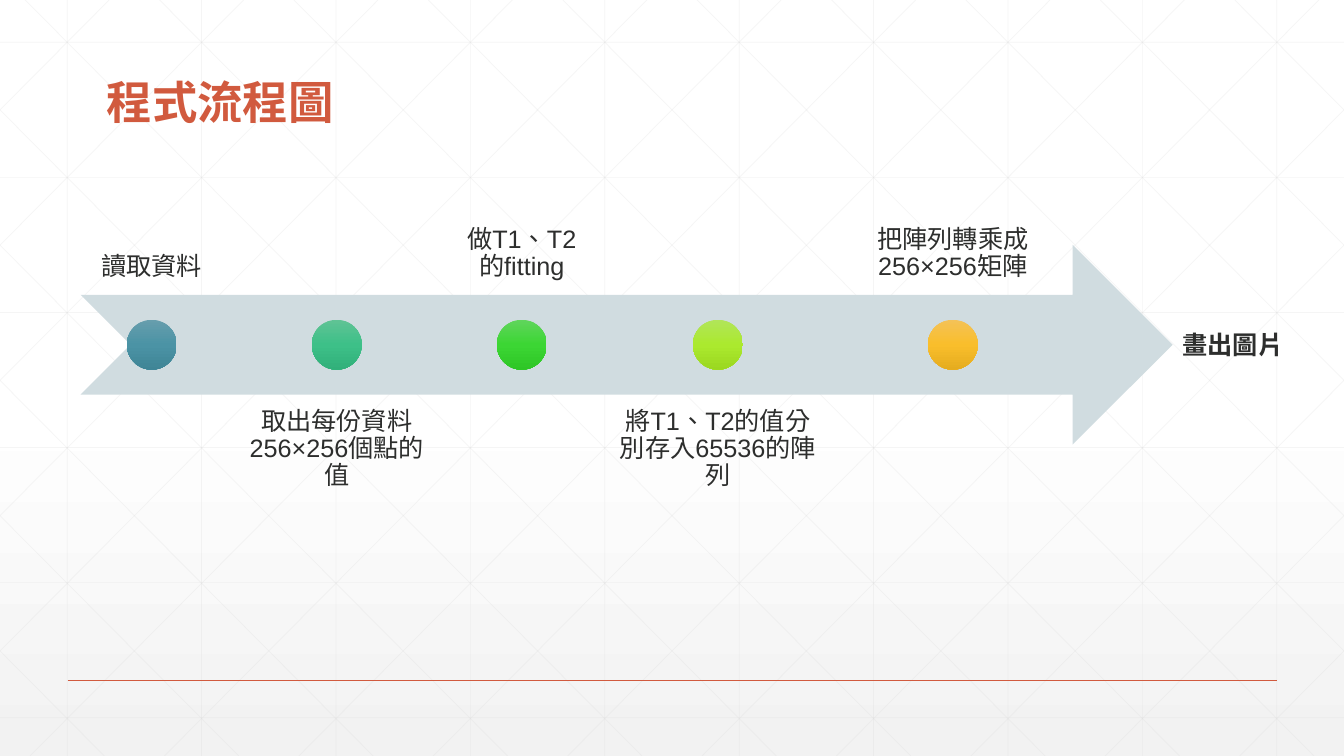
import lxml.etree
import pptx
import pptx.dml.color
import pptx.enum.dml
import pptx.enum.lang
import pptx.enum.shapes
import pptx.enum.text
import pptx.oxml.ns
import pptx.util

Inches = pptx.util.Inches
Pt = pptx.util.Pt
qn = pptx.oxml.ns.qn
SHAPE = pptx.enum.shapes.MSO_SHAPE
ANCHOR = pptx.enum.text.MSO_ANCHOR
ALIGN = pptx.enum.text.PP_ALIGN

WIDTH, HEIGHT = 13.33, 7.5
RED, INK, GRID, ARROW = "D15A3E", "2D2E2D", "D9D9D9", "D0DCE0"
STEPS = [
    ("讀取資料", 1.41, ("679EAD", "4B93A5", "3F8596")),
    ("取出每份資料256×256個點的值", 2.12, ("60C395", "3DC088", "31B07A")),
    ("做T1、T2的fitting", 1.41, ("60D55C", "3CD634", "2EC626")),
    ("將T1、T2的值分別存入65536的陣列", 2.34, ("B1E55A", "ABE92E", "9BD820")),
    ("把陣列轉乘成256×256矩陣", 2.18, ("F4C258", "F9BE2B", "E5AC1F")),
]


def color(value):
    """Return the colour for a hex string."""
    return pptx.dml.color.RGBColor.from_string(value)


def add_gradient(fill, element, stops):
    """Fill with a top-to-bottom gradient of (percent, colour) stops."""
    fill.gradient()
    fill.gradient_angle = 270
    stop_list = element.find(".//" + qn("a:gsLst"))
    for stop in list(stop_list):
        stop_list.remove(stop)
    for percent, value in stops:
        stop = lxml.etree.SubElement(stop_list, qn("a:gs"), pos=str(percent * 1000))
        lxml.etree.SubElement(stop, qn("a:srgbClr"), val=value)


def add_line(s, x1, y1, x2, y2, value, width, opacity=100):
    """Draw a straight line between two points."""
    line = s.shapes.add_connector(
        pptx.enum.shapes.MSO_CONNECTOR.STRAIGHT,
        Inches(x1), Inches(y1), Inches(x2), Inches(y2))
    line.line.color.rgb = color(value)
    line.line.width = Pt(width)
    sp_pr = line.element.spPr
    if opacity < 100:
        clr = sp_pr.find(".//" + qn("a:srgbClr"))
        lxml.etree.SubElement(clr, qn("a:alpha"), val=str(opacity * 1000))
    lxml.etree.SubElement(sp_pr, qn("a:effectLst"))


def add_shape(s, kind, x, y, w, h):
    """Add a preset shape with no outline or shadow."""
    sp = s.shapes.add_shape(kind, Inches(x), Inches(y), Inches(w), Inches(h))
    sp.shadow.inherit = False
    sp.line.fill.background()
    return sp


def add_text(s, text, x, y, w, h, size=18, value=INK, bold=False, wrap=True,
             align=ALIGN.LEFT, anchor=ANCHOR.TOP, spacing=1.0,
             insets=(0.1, 0.05, 0.1, 0.05)):
    """Add a one-paragraph text box."""
    tf = s.shapes.add_textbox(Inches(x), Inches(y), Inches(w), Inches(h)).text_frame
    tf.word_wrap = wrap
    tf.vertical_anchor = anchor
    tf.margin_left, tf.margin_top, tf.margin_right, tf.margin_bottom = map(Inches, insets)
    p = tf.paragraphs[0]
    p.alignment = align
    p.line_spacing = spacing
    r = p.add_run()
    r.text = text
    r.font.size = Pt(size)
    r.font.bold = bold
    r.font.color.rgb = color(value)
    r.font.name = "Arial"
    r.font.language_id = pptx.enum.lang.MSO_LANGUAGE_ID.TRADITIONAL_CHINESE
    latin = r.font._element.find(qn("a:latin"))
    latin.addnext(latin.makeelement(qn("a:ea"), {"typeface": "Noto Sans CJK TC"}))


def add_backdrop(s, w, h):
    """Paint the background gradient and its grid of faint lines."""
    add_gradient(s.background.fill, s.element,
                 [(0, "FFFFFF"), (53, "FFFFFF"), (100, "F2F2F2")])
    step = w / 10
    lines = [(step * (i + 0.5), 0, step * (i + 0.5), h) for i in range(10)]
    lines += [(0, 0.42 + 1.34 * i, w, 0.42 + 1.34 * i) for i in range(6)]
    run = 7.45
    slope = h / run
    for i in range(-5, 10):
        start = 0.25 + step * i
        x1, x2 = max(start, 0), min(start + run, w)
        y1, y2 = (x1 - start) * slope, (x2 - start) * slope
        lines += [(x1, y1, x2, y2), (w - x1, y1, w - x2, y2)]
    for ends in lines:
        add_line(s, *ends, GRID, 0.5, opacity=25)


def add_process(s, x, y, w, h):
    """Draw the arrow with its steps labelled above and below in turn."""
    arrow = add_shape(s, SHAPE.NOTCHED_RIGHT_ARROW, x, y, w, h)
    arrow.fill.solid()
    arrow.fill.fore_color.rgb = color(ARROW)
    dot, gap, pad = h / 4, 0.07, 0.14
    left = x
    for i, (label, width, shades) in enumerate(STEPS):
        below = i % 2 == 1
        top = y + h * 0.75 if below else y - h * 0.75
        add_text(s, label, left, top, width, h, align=ALIGN.CENTER, spacing=0.9,
                 anchor=ANCHOR.TOP if below else ANCHOR.BOTTOM, insets=(pad,) * 4)
        sp = add_shape(s, SHAPE.OVAL, left + (width - dot) / 2, y + (h - dot) / 2, dot, dot)
        add_gradient(sp.fill, sp.element, zip((0, 50, 100), shades))
        left += width + gap
    add_text(s, "畫出圖片", x + w, y + h / 2 - 0.2, 1.24, 0.4, bold=True, wrap=False)


def main():
    """Build the flow chart slide and save it."""
    prs = pptx.Presentation()
    prs.slide_width, prs.slide_height = Inches(WIDTH), Inches(HEIGHT)
    s = prs.slides.add_slide(prs.slide_layouts[6])
    add_backdrop(s, WIDTH, HEIGHT)
    add_line(s, 0.67, 6.75, 12.67, 6.75, RED, 1)
    add_process(s, 0.8, 2.43, 10.83, 1.98)
    add_text(s, "程式流程圖", 0.96, 0.52, 10.5, 1.25, size=32.4, value=RED, bold=True,
             anchor=ANCHOR.BOTTOM, spacing=0.9, insets=(0.1, 0.05, 0.1, 0.49))
    prs.save("out.pptx")


if __name__ == "__main__":
    main()
